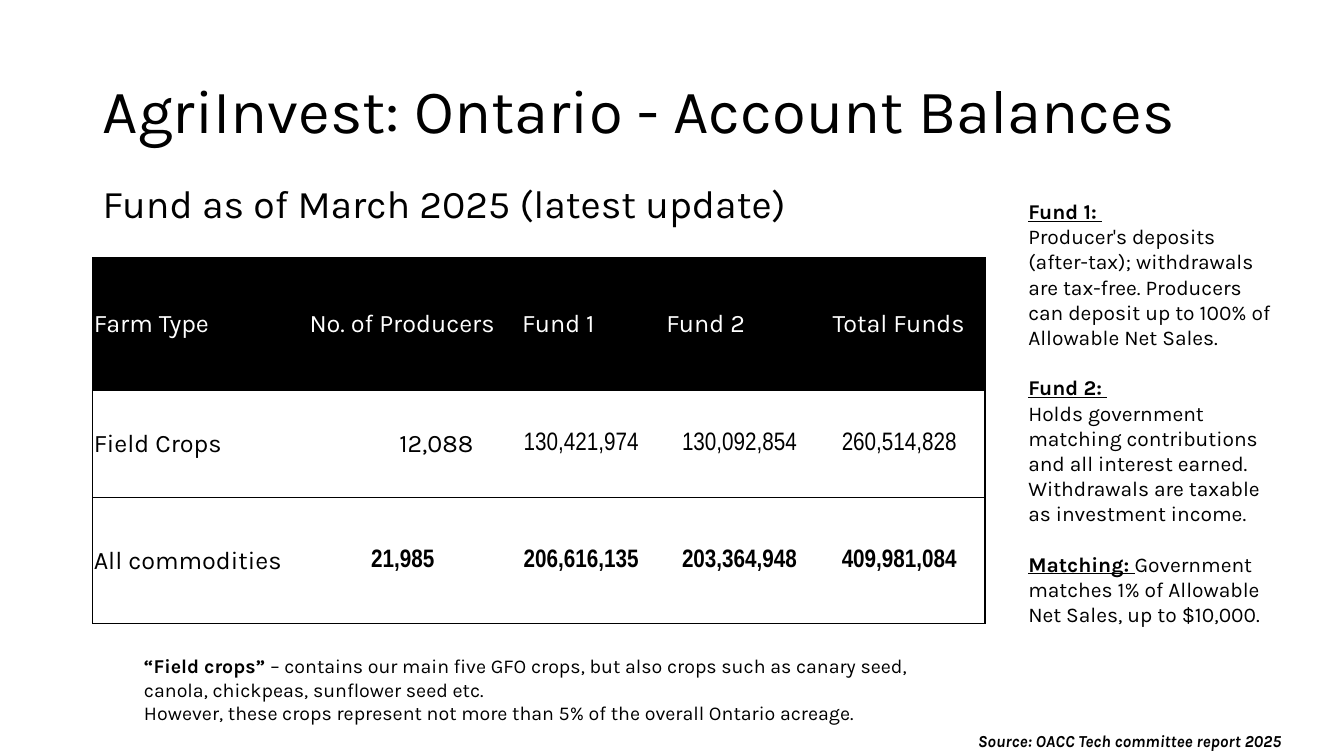
from lxml import etree
from pptx import Presentation
from pptx.dml.color import RGBColor
from pptx.enum.text import MSO_ANCHOR, PP_ALIGN
from pptx.oxml.ns import qn
from pptx.util import Inches, Pt

MIDDLE, TOP = MSO_ANCHOR.MIDDLE, MSO_ANCHOR.TOP
LEFT, CENTER = PP_ALIGN.LEFT, PP_ALIGN.CENTER
BLACK = RGBColor(0x00, 0x00, 0x00)
WHITE = RGBColor(0xFF, 0xFF, 0xFF)
BODY_FONT, FIGURE_FONT = "Karla", "Arial Narrow"
PLAIN_TABLE_STYLE = "{2D5ABB26-0587-4C30-8999-92F81FD0307C}"

# Content: a paragraph is a list of (text, is_emphasised) runs
TITLE = [[("AgriInvest: Ontario - Account Balances", False)]]
SUBTITLE = [[("Fund as of March 2025 (latest update)", False)]]
FUND_NOTES = [
    [("Fund 1: ", True)],
    [("Producer's deposits (after-tax); withdrawals are tax-free. "
      "Producers can deposit up to 100% of Allowable Net Sales.", False)],
    [("Fund 2: ", True)],
    [("Holds government matching contributions and all interest earned. "
      "Withdrawals are taxable as investment income.", False)],
    [("Matching: ", True),
     ("Government matches 1% of Allowable Net Sales, up to $10,000.", False)],
]
CROP_NOTES = [
    [("“Field crops” ", True),
     ("– contains our main five GFO crops, but also crops such as canary seed, "
      "canola, chickpeas, sunflower seed etc.", False)],
    [("However, these crops represent not more than 5% of the overall "
      "Ontario acreage.", False)],
]
SOURCE = [[("Source: OACC Tech committee report 2025", True)]]

BALANCES = [
    ["Farm Type", "No. of Producers", "Fund 1", "Fund 2", "Total Funds"],
    ["Field Crops", "12,088", "130,421,974", "130,092,854", "260,514,828"],
    ["All commodities", "21,985", "206,616,135", "203,364,948", "409,981,084"],
]
COLUMN_WIDTHS = [2.14, 1.87, 1.67, 1.47, 1.7]
ROW_HEIGHTS = [1.31, 1.07, 1.25]
CELL_INDENTS = {(0, 2): 0.25, (0, 4): 0.19, (1, 1): 0.9}
CELL_MARGIN = 0.01


def write_text(frame, paragraphs, size, font=BODY_FONT, color=BLACK, bold=False,
               italic=False, underline=False, align=LEFT, line_spacing=None,
               gaps=None):
    """Fill a text frame; bold, italic and underline apply to emphasised runs."""
    for index, runs in enumerate(paragraphs):
        paragraph = frame.paragraphs[0] if index == 0 else frame.add_paragraph()
        paragraph.alignment = align
        if line_spacing:
            paragraph.line_spacing = line_spacing
        if gaps and index in gaps:
            paragraph.space_before = Pt(gaps[index])
        for text, emphasised in runs:
            run = paragraph.add_run()
            run.text = text
            run.font.name = font
            run.font.size = Pt(size)
            run.font.color.rgb = color
            run.font.bold = bold and emphasised
            run.font.italic = italic and emphasised
            run.font.underline = underline and emphasised


def add_text(slide, box, paragraphs, anchor=TOP, **text_format):
    frame = slide.shapes.add_textbox(*map(Inches, box)).text_frame
    frame.word_wrap = True
    frame.vertical_anchor = anchor
    write_text(frame, paragraphs, **text_format)


def add_borders(cell, sides):
    properties = cell._tc.get_or_add_tcPr()
    for side in sides:
        line = etree.SubElement(properties, qn(f"a:ln{side}"), w=str(Pt(1)))
        fill = etree.SubElement(line, qn("a:solidFill"))
        etree.SubElement(fill, qn("a:srgbClr"), val=str(BLACK))


def add_balance_table(slide, left, top):
    row_count, column_count = len(BALANCES), len(BALANCES[0])
    table = slide.shapes.add_table(
        row_count, column_count, Inches(left), Inches(top),
        Inches(sum(COLUMN_WIDTHS)), Inches(sum(ROW_HEIGHTS))).table
    table._tbl.tblPr.find(qn("a:tableStyleId")).text = PLAIN_TABLE_STYLE
    table.first_row = table.horz_banding = False
    for column, width in zip(table.columns, COLUMN_WIDTHS):
        column.width = Inches(width)
    for row, height in zip(table.rows, ROW_HEIGHTS):
        row.height = Inches(height)

    for r, values in enumerate(BALANCES):
        for c, value in enumerate(values):
            cell = table.cell(r, c)
            is_header = r == 0
            is_figure = r > 0 and c > 0 and (r, c) not in CELL_INDENTS
            # Outer sides plus a rule above and below each row
            sides = ["L"] if c == 0 else ["R"] if c == column_count - 1 else []
            add_borders(cell, sides + ["T", "B"])
            cell.fill.solid()
            cell.fill.fore_color.rgb = BLACK if is_header else WHITE
            cell.vertical_anchor = MIDDLE
            cell.margin_left = Inches(CELL_INDENTS.get((r, c), CELL_MARGIN))
            cell.margin_right = cell.margin_top = Inches(CELL_MARGIN)
            cell.margin_bottom = 0
            write_text(cell.text_frame, [[(value, True)]], size=18,
                       font=FIGURE_FONT if is_figure else BODY_FONT,
                       color=WHITE if is_header else BLACK,
                       bold=is_figure and r == row_count - 1,
                       align=CENTER if is_figure else LEFT)


def main():
    presentation = Presentation()
    presentation.slide_width = Inches(13.33)
    presentation.slide_height = Inches(7.5)
    slide = presentation.slides.add_slide(presentation.slide_layouts[6])

    # Headings
    add_text(slide, (0.92, 0.4, 11.89, 1.45), TITLE, anchor=MIDDLE, size=44,
             line_spacing=0.9)
    add_text(slide, (0.92, 1.78, 11.5, 0.6), SUBTITLE, size=28, line_spacing=0.9)

    # Account balances
    add_balance_table(slide, left=0.92, top=2.56)

    # Notes and source
    add_text(slide, (10.1, 1.92, 2.69, 4.39), FUND_NOTES, size=15, bold=True,
             underline=True, gaps={2: 18, 4: 18})
    add_text(slide, (1.33, 6.44, 8.17, 0.81), CROP_NOTES, size=14, bold=True)
    add_text(slide, (9.6, 7.2, 3.52, 0.3), SOURCE, size=12, bold=True, italic=True)

    presentation.save("out.pptx")


if __name__ == "__main__":
    main()
